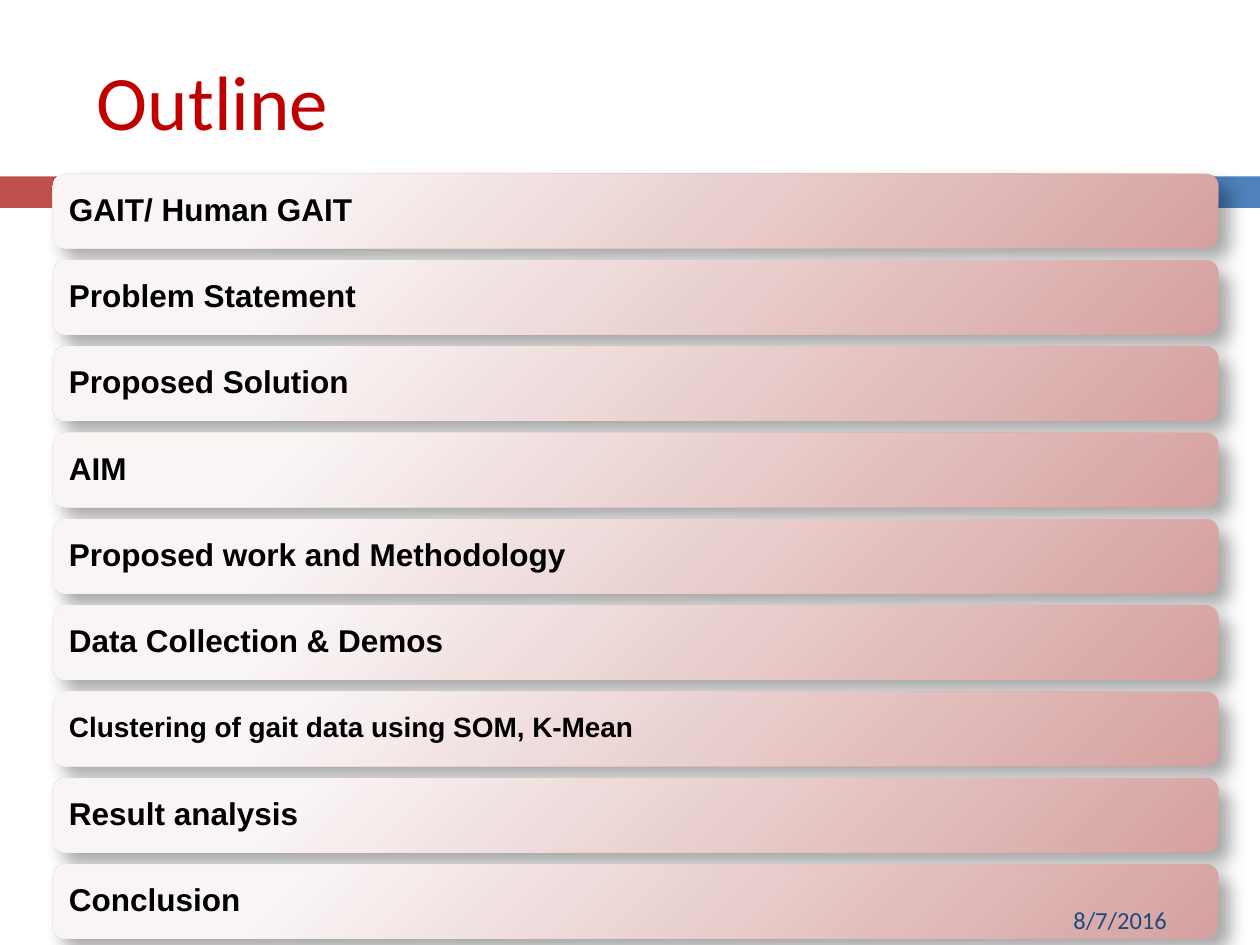
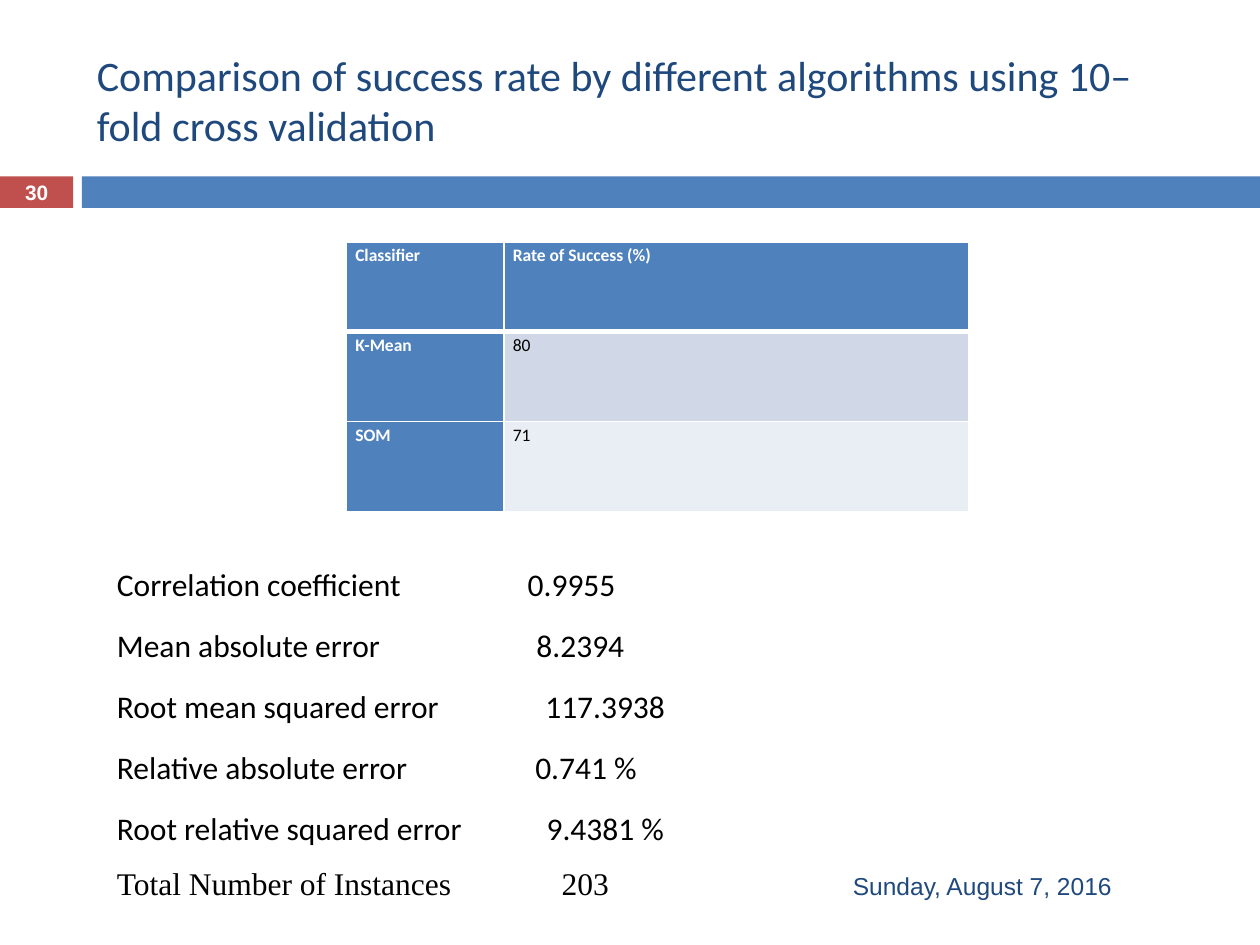
from pptx import Presentation
from pptx.dml.color import RGBColor
from pptx.enum.shapes import MSO_SHAPE
from pptx.enum.text import MSO_ANCHOR, PP_ALIGN
from pptx.oxml import parse_xml
from pptx.oxml.ns import nsdecls
from pptx.util import Inches, Pt

RECTANGLE, ROUNDED = MSO_SHAPE.RECTANGLE, MSO_SHAPE.ROUNDED_RECTANGLE
TOP, MIDDLE = MSO_ANCHOR.TOP, MSO_ANCHOR.MIDDLE
LEFT, CENTER = PP_ALIGN.LEFT, PP_ALIGN.CENTER

RED, BLUE, NAVY = "C0504D", "4F81BD", "1F497D"
TITLE_RED, WHITE, BLACK = "C00000", "FFFFFF", "000000"
BAR_LIGHT, BAR_DARK = "FAF5F5", "D5A1A0"
ROW_TINTS = ["D0D8E8", "E9EDF4"]

OUTLINE = [
    ("GAIT/ Human GAIT", 18),
    ("Problem Statement", 18),
    ("Proposed Solution", 18),
    ("AIM", 18),
    ("Proposed work and Methodology", 18),
    ("Data Collection & Demos", 18),
    ("Clustering of gait data using SOM, K-Mean", 16),
    ("Result analysis", 18),
    ("Conclusion", 18),
]
SUCCESS_RATES = [
    ("Classifier", "Rate of Success (%)"),
    ("K-Mean", "80"),
    ("SOM", "71"),
]
# Label, value, distance of the value from the start of the text
METRICS = [
    ("Correlation coefficient", "0.9955", 3.26),
    ("Mean absolute error", "8.2394", 3.33),
    ("Root mean squared error", "117.3938", 3.4),
    ("Relative absolute error", "0.741 %", 3.32),
    ("Root relative squared error", "9.4381 %", 3.41),
]
TOTAL = ("Total Number of Instances", "203", 3.53)


def rgb(value):
    return RGBColor.from_string(value)


def element(markup):
    """Parse one drawing element, given without its namespace declaration."""
    head, rest = markup.split(">", 1)
    closing = "/" if head.endswith("/") else ""
    return parse_xml(f"{head.rstrip('/')} {nsdecls('a')}{closing}>{rest}")


def write(paragraph, text, size=18, font="Calibri", color=BLACK, bold=False,
          align=LEFT, spacing=None, after=None, tab=None):
    if tab is not None:
        paragraph._p.get_or_add_pPr().append(element(
            f'<a:tabLst><a:tab pos="{Inches(tab)}" algn="l"/></a:tabLst>'))
    paragraph.alignment = align
    if spacing is not None:
        paragraph.line_spacing = spacing
    if after is not None:
        paragraph.space_after = Pt(after)
    run = paragraph.add_run()
    run.text = text
    run.font.size, run.font.name, run.font.bold = Pt(size), font, bold
    run.font.color.rgb = rgb(color)


def text_frame(slide, box, anchor=MIDDLE):
    frame = slide.shapes.add_textbox(*map(Inches, box)).text_frame
    frame.word_wrap = True
    frame.vertical_anchor = anchor
    return frame


def label(slide, box, text, **style):
    write(text_frame(slide, box).paragraphs[0], text, **style)


def block(slide, kind, box):
    shape = slide.shapes.add_shape(kind, *map(Inches, box))
    shape.shadow.inherit = False
    shape.line.fill.background()
    return shape


def base_slide(prs):
    """Add a slide with the two-colour band."""
    slide = prs.slides.add_slide(prs.slide_layouts[6])
    for left, width, color in [(0, 0.58, RED), (0.65, 9.35, BLUE)]:
        band = block(slide, RECTANGLE, (left, 1.4, width, 0.25))
        band.fill.solid()
        band.fill.fore_color.rgb = rgb(color)
    return slide


def title(slide, text, **style):
    label(slide, (0.67, 0.25, 8.92, 1.08), text, **style)


def shade_bar(bar):
    """Give a bar its radial gradient and soft shadow."""
    bar.fill.gradient()
    properties = bar._element.spPr
    gradient = properties.find("{*}gradFill")
    gradient.getparent().replace(gradient, element(
        '<a:gradFill rotWithShape="1"><a:gsLst>'
        f'<a:gs pos="20000"><a:srgbClr val="{BAR_LIGHT}"/></a:gs>'
        f'<a:gs pos="100000"><a:srgbClr val="{BAR_DARK}"/></a:gs></a:gsLst>'
        '<a:path path="circle"><a:fillToRect l="-15000" t="-15000" '
        'r="115000" b="115000"/></a:path></a:gradFill>'))
    properties.find("{*}effectLst").append(element(
        f'<a:outerShdw blurRad="{Pt(10.2)}" dist="{Pt(8)}" dir="2700000" '
        f'algn="tl" rotWithShape="0"><a:srgbClr val="{BLACK}">'
        '<a:alpha val="35000"/></a:srgbClr></a:outerShdw>'))


def outline_bars(slide, box, topics):
    left, top, width, height = box
    bar_height = 0.59
    step = (height - bar_height) / (len(topics) - 1)
    for index, (topic, size) in enumerate(topics):
        bar = block(slide, ROUNDED,
                    (left, top + index * step, width, bar_height))
        shade_bar(bar)
        frame = bar.text_frame
        frame.word_wrap = True
        frame.vertical_anchor = MIDDLE
        frame.margin_left = frame.margin_right = Inches(0.1)
        write(frame.paragraphs[0], topic, size=size, font="Arial", bold=True,
              spacing=0.9)


def border_cell(cell, bottom):
    """Draw white borders, with the bottom one of the given width."""
    widths = {"lnL": 1, "lnR": 1, "lnT": 1, "lnB": bottom}
    properties = cell._tc.get_or_add_tcPr()
    for index, (side, width) in enumerate(widths.items()):
        properties.insert(index, element(
            f'<a:{side} w="{Pt(width)}"><a:solidFill>'
            f'<a:srgbClr val="{WHITE}"/></a:solidFill></a:{side}>'))


def rate_table(slide, box, rows):
    table = slide.shapes.add_table(len(rows), len(rows[0]),
                                   *map(Inches, box)).table
    for column, width in zip(table.columns, (1.25, box[2] - 1.25)):
        column.width = Inches(width)
    for row, values in enumerate(rows):
        for column, value in enumerate(values):
            cell = table.cell(row, column)
            heading = row == 0 or column == 0
            cell.margin_left = cell.margin_right = Inches(0.07)
            cell.margin_top = cell.margin_bottom = 0
            cell.fill.solid()
            cell.fill.fore_color.rgb = rgb(
                BLUE if heading else ROW_TINTS[(row - 1) % 2])
            border_cell(cell, bottom=3 if row == 0 else 1)
            write(cell.text_frame.paragraphs[0], value, size=10, bold=heading,
                  color=WHITE if heading else BLACK, spacing=1.15, after=10)


def metric_list(slide, box):
    frame = text_frame(slide, box, TOP)
    paragraph = frame.paragraphs[0]
    for name, value, tab in METRICS:
        write(paragraph, f"{name}\t{value}", tab=tab, spacing=1.15, after=10)
        paragraph = frame.add_paragraph()
    name, value, tab = TOTAL
    write(paragraph, f"{name}\t{value}", tab=tab, font="Times New Roman")


def outline_slide(prs):
    slide = base_slide(prs)
    outline_bars(slide, (0.42, 1.38, 9.25, 6.07), OUTLINE)
    label(slide, (8.42, 7.1, 1.42, 0.4), "8/7/2016", size=14, color=NAVY)
    title(slide, "Outline", size=44, color=TITLE_RED)


def comparison_slide(prs):
    slide = base_slide(prs)
    title(slide, "Comparison of success rate by different algorithms "
          "using 10–fold cross validation", size=24, color=NAVY)
    label(slide, (6.67, 6.83, 2.92, 0.4), "Sunday, August 7, 2016",
          size=14, font="Arial", color=NAVY)
    label(slide, (0, 1.39, 0.58, 0.27), "30", size=11.9, font="Arial",
          color=WHITE, bold=True, align=CENTER)
    rate_table(slide, (2.75, 1.92, 4.94, 2.14), SUCCESS_RATES)
    metric_list(slide, (0.83, 4.39, 5, 2.85))


def main():
    prs = Presentation()
    prs.slide_width, prs.slide_height = Inches(10), Inches(7.5)
    outline_slide(prs)
    comparison_slide(prs)
    prs.save("out.pptx")


if __name__ == "__main__":
    main()
